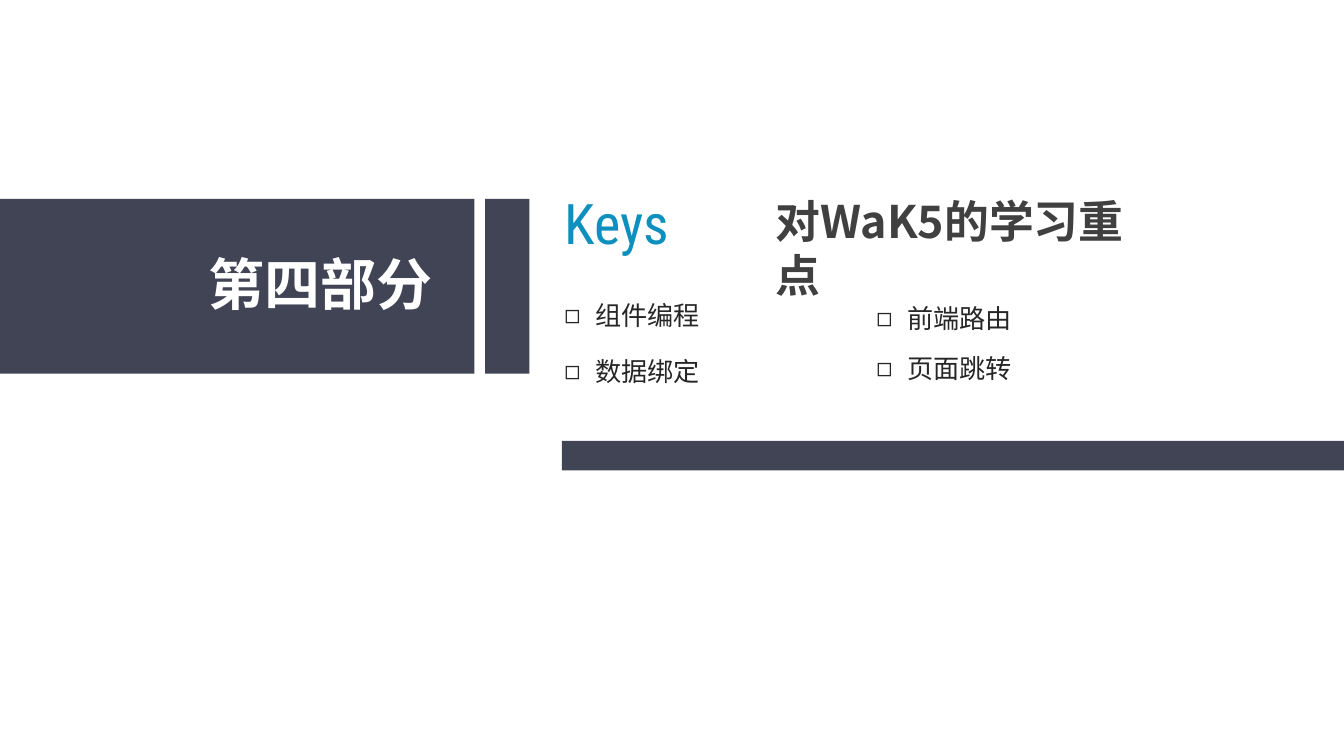
from lxml import etree
from pptx import Presentation
from pptx.dml.color import RGBColor
from pptx.enum.shapes import MSO_SHAPE
from pptx.enum.text import MSO_ANCHOR, MSO_AUTO_SIZE, PP_ALIGN
from pptx.oxml.ns import qn
from pptx.util import Inches, Pt

RECTANGLE = MSO_SHAPE.RECTANGLE
TOP = MSO_ANCHOR.TOP
NO_AUTOFIT = MSO_AUTO_SIZE.NONE
LEFT = PP_ALIGN.LEFT

COLORS = {"slate": "414455", "white": "FFFFFF", "blue": "0E90BE",
          "heading": "404040", "body": "262626"}
CJK, LATIN = "Noto Sans CJK SC", "Roboto Condensed"
TWO_CONTENT_LAYOUT = 3
COLUMNS = 100
ROWS = COLUMNS * 9 / 16


class SectionSlide:
    """Draws styled elements on one slide, placed on a grid of columns and rows."""

    def __init__(self, presentation):
        self.slide = presentation.slides.add_slide(
            presentation.slide_layouts[TWO_CONTENT_LAYOUT])
        self.column = presentation.slide_width / COLUMNS
        self.row = presentation.slide_height / ROWS
        self.placeholders = {}
        for placeholder in self.slide.placeholders:
            self.placeholders[placeholder.placeholder_format.idx] = placeholder

    def box(self, left, top, width, height):
        return (round(left * self.column), round(top * self.row),
                round(width * self.column), round(height * self.row))

    def place(self, shape, grid_box):
        shape.left, shape.top, shape.width, shape.height = self.box(*grid_box)

    def bar(self, *grid_box):
        shape = self.slide.shapes.add_shape(RECTANGLE, *self.box(*grid_box))
        shape.shadow.inherit = False
        shape.fill.solid()
        shape.fill.fore_color.rgb = RGBColor.from_string(COLORS["slate"])
        shape.line.fill.background()

    def frame(self, shape, wrap):
        frame = shape.text_frame
        frame.auto_size = NO_AUTOFIT
        frame.word_wrap = wrap
        frame.vertical_anchor = TOP
        frame.margin_left = frame.margin_right = Inches(0.07)
        frame.margin_top = frame.margin_bottom = Inches(0.04)
        return frame

    def run(self, paragraph, text, size, color, font=CJK, bold=False):
        paragraph.alignment = LEFT
        paragraph.line_spacing = 1.0
        run = paragraph.add_run()
        run.text = text
        run.font.size = Pt(size)
        run.font.bold = bold
        run.font.color.rgb = RGBColor.from_string(COLORS[color])
        run.font.name = font
        east_asian = etree.SubElement(run.font._element, qn("a:ea"))
        east_asian.set("typeface", font)

    def label(self, grid_box, text, **style):
        shape = self.slide.shapes.add_textbox(*self.box(*grid_box))
        frame = self.frame(shape, wrap=False)
        self.run(frame.paragraphs[0], text, **style)

    def title(self, grid_box, text, **style):
        shape = self.slide.shapes.title
        self.place(shape, grid_box)
        frame = self.frame(shape, wrap=True)
        self.run(frame.paragraphs[0], text, **style)

    def bullets(self, index, grid_box, items, gap):
        shape = self.placeholders[index]
        self.place(shape, grid_box)
        frame = self.frame(shape, wrap=True)
        for number, item in enumerate(items):
            paragraph = frame.add_paragraph() if number else frame.paragraphs[0]
            self.run(paragraph, item, size=14, color="body")
            paragraph.space_before = Pt(gap if number else 0)
            properties = paragraph._p.get_or_add_pPr()
            properties.set("marL", str(Inches(0.23)))
            properties.set("indent", str(-Inches(0.23)))
            etree.SubElement(properties, qn("a:buChar")).set("char", "◻")


def main():
    presentation = Presentation()
    presentation.slide_width = Inches(10)
    presentation.slide_height = Inches(10) * 9 // 16

    section = SectionSlide(presentation)
    section.bar(0, 14.8, 35.3, 13)
    section.bar(36.1, 14.8, 3.3, 13)
    section.bar(41.8, 32.8, 58.2, 2.2)
    section.label((14.8, 18.2, 18.3, 5.8), "第四部分",
                  size=30, color="white", bold=True)
    section.label((41.3, 13.6, 9.8, 5.8), "Keys",
                  size=30, color="blue", font=LATIN)
    section.title((57, 14, 30, 8.8), "对WaK5的学习重点",
                  size=24, color="heading", bold=True)
    section.bullets(1, (41.3, 21.9, 11.7, 7.2), ["组件编程", "数据绑定"], gap=13)
    section.bullets(2, (64.5, 22.1, 11.7, 6.8), ["前端路由", "页面跳转"], gap=10.2)
    presentation.save("out.pptx")


if __name__ == "__main__":
    main()
